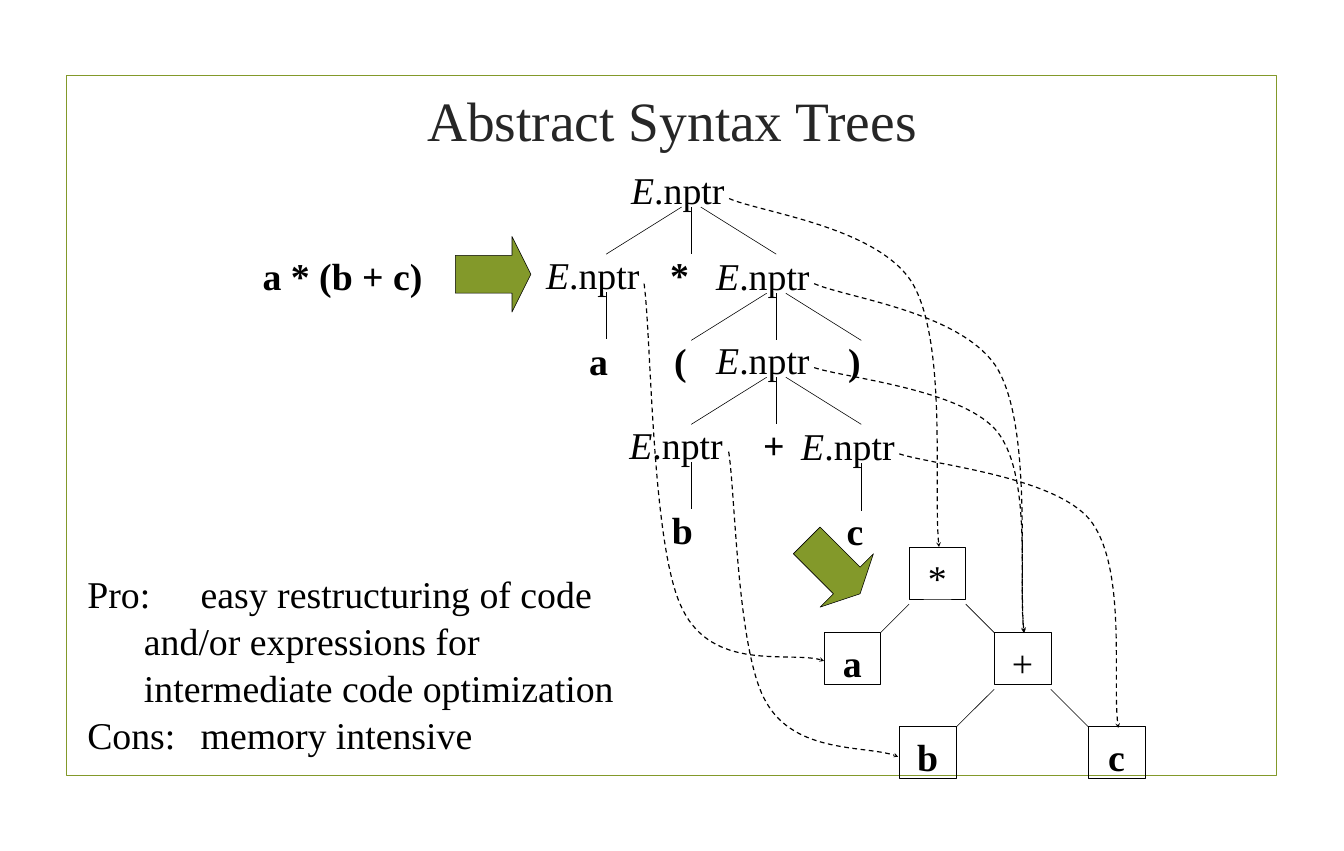
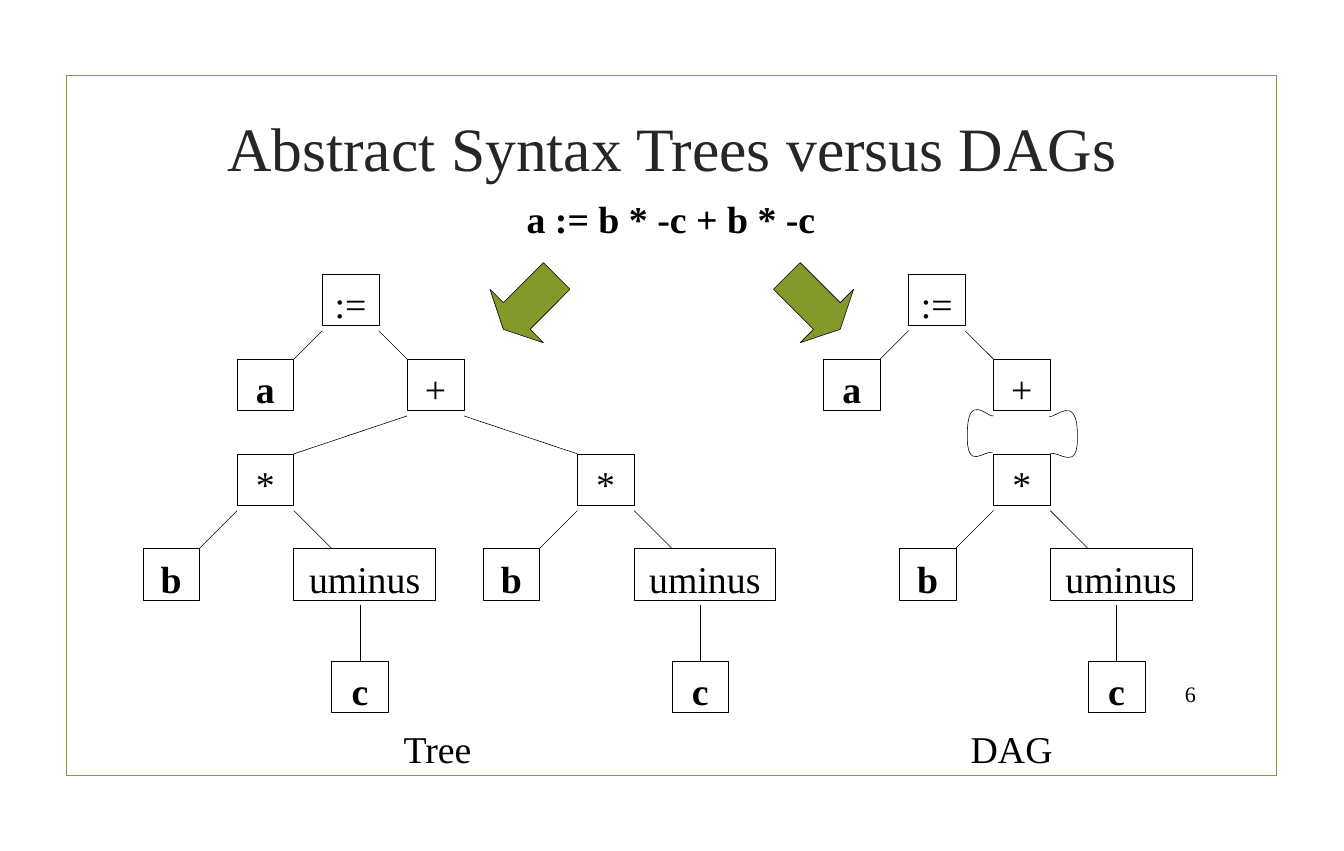
import lxml.etree
import pptx
import pptx.dml.color
import pptx.enum.dml
import pptx.enum.shapes
import pptx.enum.text
import pptx.oxml.ns
import pptx.util

HUES = {"ink": "000000", "title": "262626", "green": "83992A"}
TONES = {name: pptx.dml.color.RGBColor.from_string(hue) for name, hue in HUES.items()}
FONT = "Times New Roman"
KINDS = pptx.enum.shapes.MSO_SHAPE
ALIGN = pptx.enum.text.PP_ALIGN
ANCHOR = pptx.enum.text.MSO_ANCHOR
tag = pptx.oxml.ns.qn
SIDE = 2.54
TALL = 0.91


def grid(*nums):
    return [pptx.util.Cm(round(num * SIDE, 2)) for num in nums]


def write(frame, text, tone="ink", size=48, bold=False, align=ALIGN.LEFT, anchor=ANCHOR.TOP):
    setup = {
        "auto_size": pptx.enum.text.MSO_AUTO_SIZE.NONE,
        "word_wrap": align != ALIGN.LEFT,
        "vertical_anchor": anchor,
        "margin_top": pptx.util.Cm(0.23),
    }
    for key, value in setup.items():
        setattr(frame, key, value)
    for index, line in enumerate(text.split("\n")):
        para = frame.add_paragraph() if index else frame.paragraphs[0]
        if line.startswith("E."):
            for part in ("E", line[1:]):
                run = para.add_run()
                run.text = part
                run.font.italic = part == "E"
        else:
            para.text = line
        if "\t" in line:
            tabs = lxml.etree.SubElement(para._p.get_or_add_pPr(), tag("a:tabLst"))
            for stop in grid(1, 2):
                lxml.etree.SubElement(tabs, tag("a:tab"), pos=str(stop), algn="l")
        para.alignment = align
        para.line_spacing = 1.04
        for run in para.runs:
            look = {"name": FONT, "size": pptx.util.Pt(size), "bold": bold}
            for key, value in look.items():
                setattr(run.font, key, value)
            run.font.color.rgb = TONES[tone]


PROS = (
    "Pro:\teasy restructuring of code\v\tand/or expressions for\v"
    "\tintermediate code optimization\nCons:\tmemory intensive"
)

nodes = [("*", 16.03, 9.65), ("a", 14.53, 11.15), ("+", 17.53, 11.15),
         ("b", 15.86, 12.81), ("c", 19.19, 12.81)]
legs = [(16.03, 9.65, 0.5, 0.5), (17.53, 11.15, 0.67, 0.67)]
stems = [(10.69, 5.15, 0.83), (12.19, 8.15, 0.83), (15.19, 8.17, 0.83)]
lines = []
for x, y in [(12.19, 3.65), (13.69, 5.17), (13.69, 6.65)]:
    stems.append((x, y, 0.83))
    for way in (-1, 1):
        lines.append((x + way * 0.17, y, x + way * 1.5, y + 0.83))

labels = [("E.nptr", x, y, 1.87, TALL, False) for x, y in [
    (11.03, 2.81), (9.53, 4.31), (12.53, 4.33), (12.53, 5.81), (11, 7.31), (14.03, 7.33)]]
labels += [(text, x, y, wide, TALL, True) for text, x, y, wide in [
    ("*", 11.72, 4.31, 0.54), ("a", 10.29, 5.83, 0.54), ("(", 11.79, 5.83, 0.43),
    (")", 14.86, 5.83, 0.43), ("+", 13.36, 7.31, 0.59), ("b", 11.75, 8.81, 0.58),
    ("c", 14.83, 8.83, 0.5), ("a * (b + c)", 4.53, 4.33, 3.05)]]
labels.append((PROS, 1.44, 9.93, 9.59, 3.33, False))

RIGHT = [(0, 0), (0.15, 0.04), (0.7, 0.08), (0.87, 0.24), (1.04, 0.41), (0.97, 0.84), (1, 1)]
LEFT = [(0, 0), (0.04, 0.14), (0.05, 0.66), (0.22, 0.82), (0.39, 0.99), (0.84, 0.96), (1, 1)]
FAR = [(0, 0), (0.04, 0.14), (0.04, 0.7), (0.21, 0.86), (0.38, 1.03), (0.84, 0.97), (1, 1)]
curves = []
for form, x, y, wide, high in [
    (RIGHT, 12.86, 3.5, 3.7, 6.14), (RIGHT, 14.36, 5, 3.7, 6.16),
    (RIGHT, 14.36, 6.48, 3.7, 4.66), (RIGHT, 15.86, 8, 3.86, 4.83),
    (LEFT, 12.85, 7.96, 2.99, 5.38), (FAR, 11.36, 5, 3.17, 6.65),
]:
    curves.append([(x + wide * u, y + high * v) for u, v in form])

first = {
    "title": ("Abstract Syntax Trees", 70.4, 1.63, 0.85),
    "nodes": nodes, "legs": legs, "stems": stems, "lines": lines, "labels": labels,
    "curves": curves, "dashed": True, "arrows": [(8.03, 4.17, 0), (14.03, 9.33, 45)],
}

nodes, legs, stems = [], [(7.18, 6.33, 2, 0.67)], []
for x in (5.68, 16.02):
    nodes += [(":=", x, 4.83), ("a", x - 1.5, 6.33), ("+", x + 1.5, 6.33)]
    legs.append((x, 4.83, 0.5, 0.5))
for x in (4.18, 10.18, 17.52):
    nodes += [("*", x, 8), ("b", x - 1.66, 9.67), ("uminus", x + 1, 9.67), ("c", x + 1.67, 11.65)]
    legs.append((x, 8, 0.67, 0.67))
    stems.append((x + 2.17, 10.67, 1))

second = {
    "title": ("Abstract Syntax Trees versus DAGs", 78.2, 1.74, 1.59),
    "nodes": nodes, "legs": legs, "stems": stems, "lines": [],
    "labels": [("Tree", 7.02, 12.67, 1.41, TALL, False), ("DAG", 17.02, 12.67, 1.66, TALL, False),
               ("a := b * -c + b * -c", 9.19, 3.33, 5.35, TALL, True)],
    "curves": [
        [(18.5, 7.34), (18.58, 7.4), (19, 6.9), (19, 7.67), (19.02, 8.35), (18.67, 7.93), (18.51, 8)],
        [(17.52, 7.33), (17.44, 7.38), (17.06, 6.88), (17.06, 7.65), (17.04, 8.33), (17.36, 7.92), (17.5, 7.98)],
    ],
    "dashed": False, "arrows": [(13.68, 4.67, 45), (8.68, 4.67, 135)],
}

deck = pptx.Presentation()
deck.slide_width, deck.slide_height = grid(23.7, 15)
base = deck.slide_layouts[5]

for page in (first, second):
    slide = deck.slides.add_slide(base)
    shapes = slide.shapes
    if page is first:
        frame = shapes.add_shape(KINDS.RECTANGLE, *grid(1.18, 1.33, 21.33, 12.33))
        frame.shadow.inherit = False
        frame.fill.background()
        frame.line.color.rgb = TONES["green"]
        frame.line.width = pptx.util.Pt(1.25)
        base.shapes.element.append(frame.element)

    text, size, top, high = page["title"]
    spots = zip(("left", "top", "width", "height"), grid(2.52, top, 18.67, high))
    for key, value in spots:
        setattr(shapes.title, key, value)
    write(shapes.title.text_frame, text, "title", size, align=ALIGN.CENTER, anchor=ANCHOR.MIDDLE)

    for text, x, y, wide, high, bold in page["labels"]:
        write(shapes.add_textbox(*grid(x, y, wide, high)).text_frame, text, bold=bold)

    drawn, boxes = [], []
    for text, x, y in page["nodes"]:
        wide = 2.5 if text == "uminus" else 1
        box = shapes.add_shape(KINDS.RECTANGLE, *grid(x, y, wide, TALL))
        box.fill.background()
        write(box.text_frame, text, bold=text in "abc", align=ALIGN.CENTER)
        boxes.append((box, x + wide / 2, y))
        drawn.append(box)

    for x, y, turn in page["arrows"]:
        arrow = shapes.add_shape(KINDS.RIGHT_ARROW, *grid(x, y, 1.33, 1.33))
        arrow.adjustments[0], arrow.adjustments[1] = 0.5, 0.25
        arrow.rotation = turn
        arrow.fill.solid()
        arrow.fill.fore_color.rgb = TONES["green"]
        drawn.append(arrow)

    for points in page["curves"]:
        start, *rest = [grid(*point) for point in points]
        maker = shapes.build_freeform(*start)
        maker.add_line_segments(rest, close=False)
        curve = maker.convert_to_shape()
        curve.fill.background()
        steps = list(curve.element.iter(tag("a:lnTo")))
        trail = steps[0].getparent()
        for index in (0, 3):
            bend = lxml.etree.SubElement(trail, tag("a:cubicBezTo"))
            for step in steps[index:index + 3]:
                bend.append(step[0])
                trail.remove(step)
        drawn.append(curve)

    for shape in drawn:
        shape.shadow.inherit = False
        shape.line.color.rgb = TONES["ink"]
        shape.line.width = pptx.util.Pt(0.75)
    if page["dashed"]:
        for curve in drawn[-len(page["curves"]):]:
            curve.line.width = pptx.util.Pt(1.5)
            curve.line.dash_style = pptx.enum.dml.MSO_LINE.DASH
            edge = curve.element.find(".//" + tag("a:ln"))
            lxml.etree.SubElement(edge, tag("a:tailEnd"), type="stealth")

    links = page["lines"] + [(x, y, x, y + drop) for x, y, drop in page["stems"]]
    for x, y, reach, drop in page["legs"]:
        links.append((x, y + 1, x - reach, y + 1 + drop))
        links.append((x + 1, y + 1, x + 1 + reach, y + 1 + drop))
    for link in links:
        line = shapes.add_connector(pptx.enum.shapes.MSO_CONNECTOR.STRAIGHT, *grid(*link))
        line.line.color.rgb = TONES["ink"]
        line.line.width = pptx.util.Pt(0.75)
        lxml.etree.SubElement(line.element.find(tag("p:spPr")), tag("a:effectLst"))
        for box, x, y in boxes:
            if abs(link[2] - x) < 0.03 and abs(link[3] - y) < 0.03:
                line.end_connect(box, 0)

number = shapes.add_textbox(*grid(20.13, 11.89, 1.06, 0.61))
write(number.text_frame, "6", size=28, align=ALIGN.RIGHT, anchor=ANCHOR.MIDDLE)

deck.save("out.pptx")
